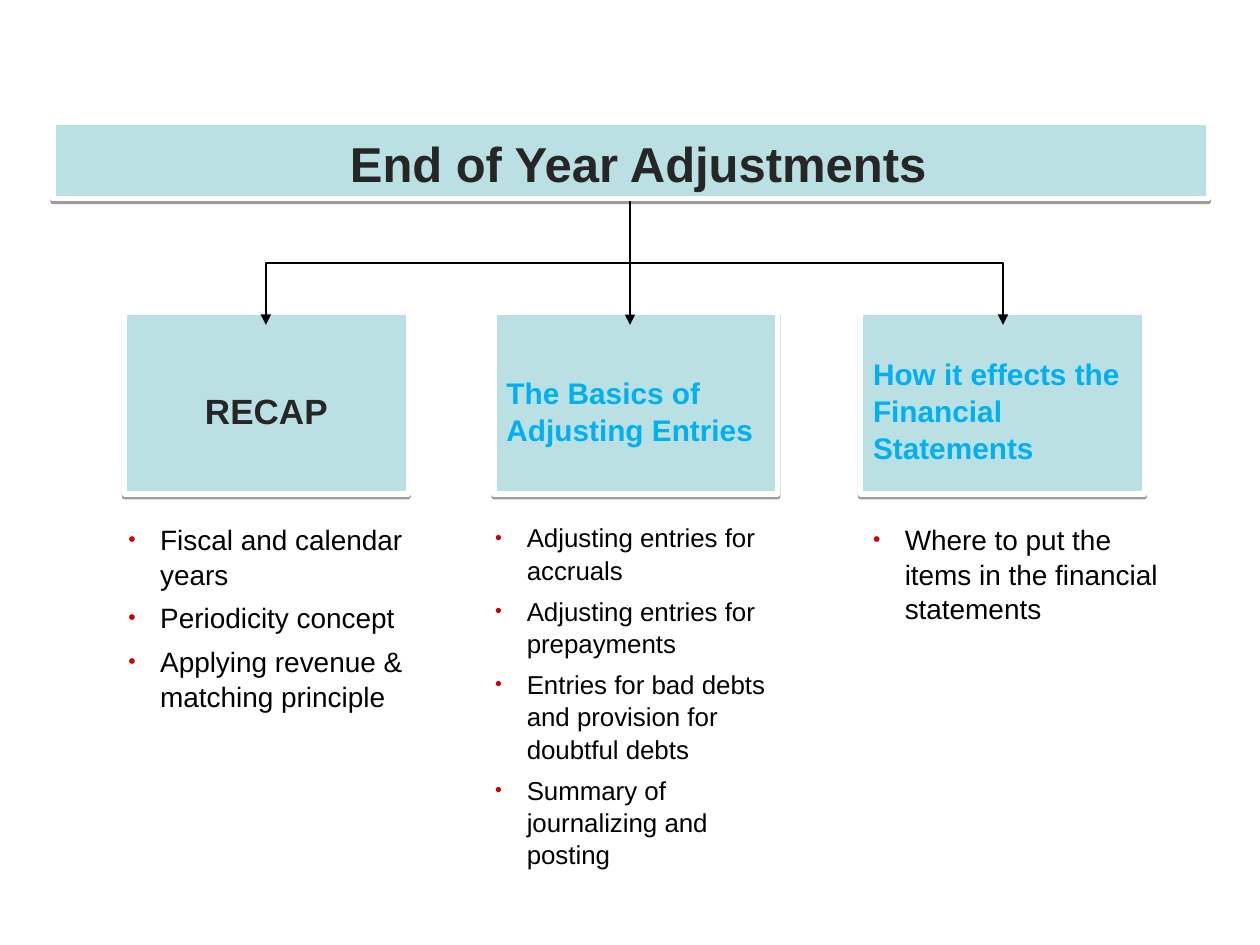
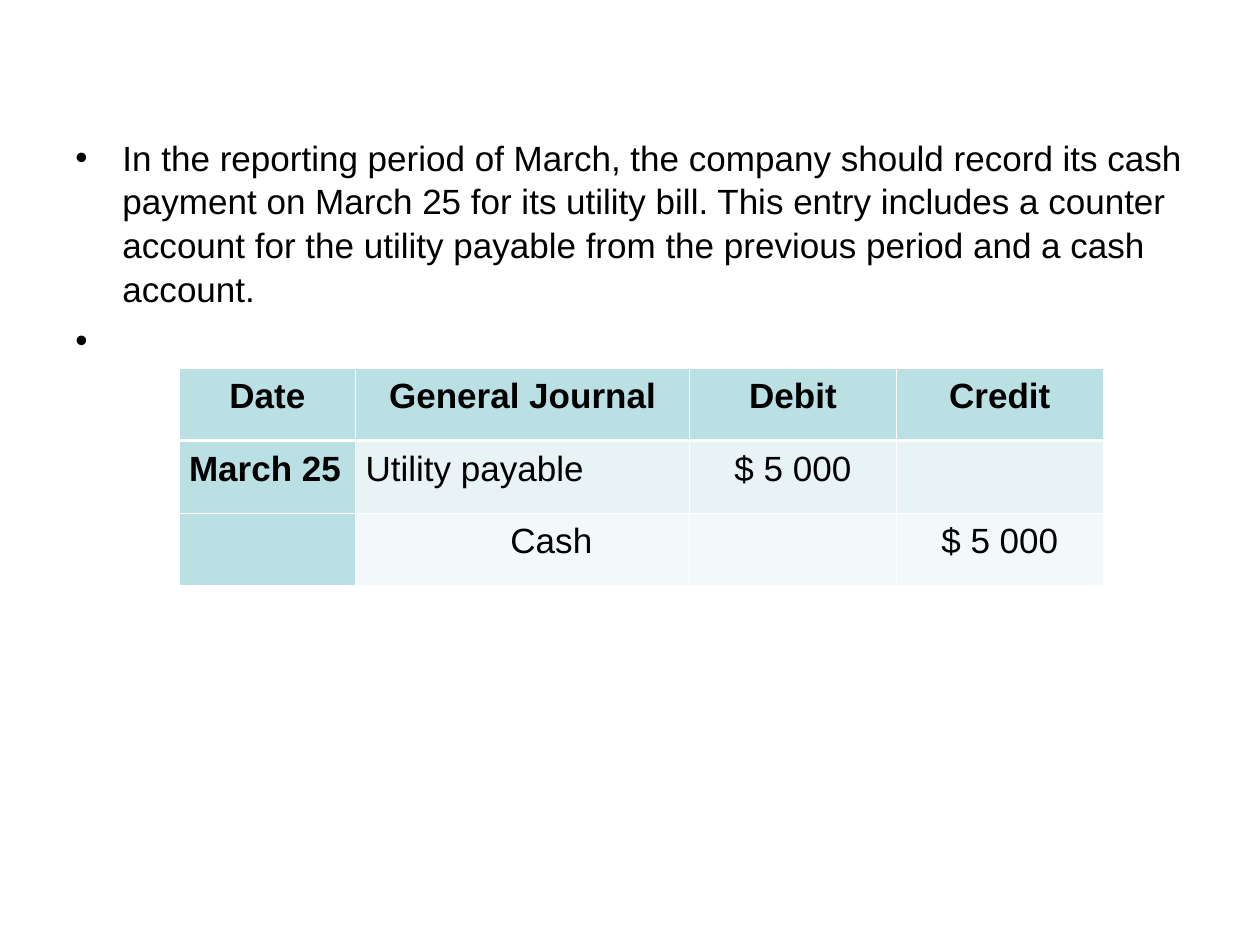
import pptx
import pptx.dml.color
import pptx.enum.shapes
import pptx.enum.text
import pptx.oxml
import pptx.oxml.ns
import pptx.util
from lxml import etree

Cm, Pt = pptx.util.Cm, pptx.util.Pt
qn = pptx.oxml.ns.qn
RGB = pptx.dml.color.RGBColor.from_string
ALIGN = pptx.enum.text.PP_ALIGN
ANCHOR = pptx.enum.text.MSO_ANCHOR
CONNECTOR = pptx.enum.shapes.MSO_CONNECTOR

COLORS = {
    "panel": "BBE0E3",
    "band_dark": "E7F3F4",
    "band_light": "F3F9FA",
    "white": "FFFFFF",
    "text": "000000",
    "heading": "262626",
    "topic": "00B0F0",
    "bullet": "CC0000",
}
FONT = "Arial"
LINE_SPACING = 1.04


def write_paragraph(paragraph, text, size, color, bold=False, align=ALIGN.LEFT, spacing=LINE_SPACING):
    paragraph.text = text
    paragraph.alignment = align
    paragraph.line_spacing = spacing
    paragraph.font.name = FONT
    paragraph.font.size = Pt(size)
    paragraph.font.bold = bold
    paragraph.font.color.rgb = RGB(COLORS[color])


def add_bullet_list(slide, place, items, size, indent, bullet_color, bullet_percent, top_inset):
    box = slide.shapes.add_textbox(*[Cm(length) for length in place])
    frame = box.text_frame
    frame.word_wrap = True
    frame.margin_top = Cm(top_inset)
    for index, item in enumerate(items):
        paragraph = frame.paragraphs[0] if index == 0 else frame.add_paragraph()
        properties = paragraph._p.get_or_add_pPr()
        properties.set("marL", str(Cm(indent)))
        properties.set("indent", str(-Cm(indent)))
        color = etree.SubElement(properties, qn("a:buClr"))
        etree.SubElement(color, qn("a:srgbClr"), val=COLORS[bullet_color])
        etree.SubElement(properties, qn("a:buSzPct"), val=str(bullet_percent * 1000))
        etree.SubElement(properties, qn("a:buFont"), typeface=FONT)
        etree.SubElement(properties, qn("a:buChar"), char="•")
        write_paragraph(paragraph, item, size, "text")
        if index:
            paragraph.space_before = Pt(5)


presentation = pptx.Presentation()
presentation.slide_width = Cm(25.4)
presentation.slide_height = Cm(19.05)
blank_layout = presentation.slide_layouts[6]

# Slide 1: topic tree
slide = presentation.slides.add_slide(blank_layout)

topic_lists = [
    ((2.34, 10.16, 6.15, 7.42), 16,
     ["Fiscal and calendar years", "Periodicity concept",
      "Applying revenue & matching principle"]),
    ((9.73, 10.16, 6.15, 7.62), 14.8,
     ["Adjusting entries for accruals", "Adjusting entries for prepayments",
      "Entries for bad debts and provision for doubtful debts",
      "Summary of journalizing and posting"]),
    ((17.35, 10.16, 6.35, 5.08), 16,
     ["Where to put the items in the financial statements"]),
]
for place, size, items in topic_lists:
    add_bullet_list(slide, place, items, size, 0.64, "bullet", 75, 0.34)

topic_top, topic_width, topic_height = 6.3, 5.72, 3.66
panels = [
    ((1.07, 2.46, 23.29, 1.55), "End of Year Adjustments", 28, "heading", ALIGN.CENTER),
    ((2.51, topic_top, topic_width, topic_height), "RECAP", 20, "heading", ALIGN.CENTER),
    ((9.96, topic_top, topic_width, topic_height),
     "The Basics of Adjusting Entries", 17, "topic", ALIGN.LEFT),
    ((17.35, topic_top, topic_width, topic_height),
     "How it effects the Financial Statements", 17, "topic", ALIGN.LEFT),
]
for place, text, size, color, align in panels:
    panel = slide.shapes.add_shape(
        pptx.enum.shapes.MSO_SHAPE.RECTANGLE, *[Cm(length) for length in place])
    panel.fill.solid()
    panel.fill.fore_color.rgb = RGB(COLORS["panel"])
    panel.line.color.rgb = RGB(COLORS["white"])
    panel.line.width = Pt(3)
    panel.shadow.inherit = False
    effects = panel._element.spPr.find(qn("a:effectLst"))
    shadow = etree.SubElement(effects, qn("a:outerShdw"), blurRad="0",
                              dist=str(Pt(1.6)), dir="5400000", rotWithShape="0")
    shadow_color = etree.SubElement(shadow, qn("a:srgbClr"), val=COLORS["text"])
    etree.SubElement(shadow_color, qn("a:alpha"), val="38000")
    frame = panel.text_frame
    frame.word_wrap = True
    is_title = place[1] < topic_top
    frame.vertical_anchor = ANCHOR.TOP if is_title else ANCHOR.MIDDLE
    frame.margin_top = Cm(0.18 if is_title else 0.4)
    if is_title:
        frame.margin_left = Cm(0.55)
    write_paragraph(frame.paragraphs[0], text, size, color, True, align)

trunk_x, arrow_bottom = 12.7, 6.55
for target_x, arrow_top in [(5.36, 4.06), (12.7, 4.7), (20.22, 4.06)]:
    drop = arrow_bottom - arrow_top
    span = abs(target_x - trunk_x)
    if span:
        # An elbow runs sideways first, so it is laid out turned and then rotated
        middle_x, middle_y = (trunk_x + target_x) / 2, (arrow_top + arrow_bottom) / 2
        arrow = slide.shapes.add_connector(
            CONNECTOR.ELBOW,
            Cm(middle_x - drop / 2), Cm(middle_y - span / 2),
            Cm(middle_x + drop / 2), Cm(middle_y + span / 2))
        transform = arrow._element.spPr.find(qn("a:xfrm"))
        if target_x < trunk_x:
            transform.set("rot", "5400000")
        else:
            transform.set("rot", "16200000")
            transform.set("flipH", "1")
    else:
        arrow = slide.shapes.add_connector(
            CONNECTOR.STRAIGHT, Cm(trunk_x), Cm(arrow_top), Cm(target_x), Cm(arrow_bottom))
    arrow.line.color.rgb = RGB(COLORS["text"])
    arrow.line.width = Pt(0.75)
    etree.SubElement(arrow.line._get_or_add_ln(), qn("a:tailEnd"), type="triangle")
    etree.SubElement(arrow._element.spPr, qn("a:effectLst"))

# Slide 2: journal entry
slide = presentation.slides.add_slide(blank_layout)
add_bullet_list(
    slide, (1.27, 2.54, 22.86, 14.48),
    ["In the reporting period of March, the company should record its cash payment "
     "on March 25 for its utility bill. This entry includes a counter account for the "
     "utility payable from the previous period and a cash account.",
     " "],
    20, 0.95, "text", 100, 0.17)

journal = [
    ["Date", "General Journal", "Debit", "Credit"],
    ["March 25", "Utility payable", "$ 5 000", ""],
    ["", "Cash", "", "$ 5 000"],
]
column_widths = [3.56, 6.73, 4.17, 4.17]
row_height = 1.46
table = slide.shapes.add_table(
    len(journal), len(column_widths), Cm(3.61), Cm(7.42),
    Cm(sum(column_widths)), Cm(row_height * len(journal))).table
for column, width in zip(table.columns, column_widths):
    column.width = Cm(width)
row_fills = ["panel", "band_dark", "band_light"]
for row_index, row in enumerate(journal):
    table.rows[row_index].height = Cm(row_height)
    for column_index, text in enumerate(row):
        cell = table.cell(row_index, column_index)
        is_label = row_index == 0 or column_index == 0
        cell.margin_left = cell.margin_right = Cm(0.2)
        if text == "Cash":
            cell.margin_left = Cm(3.12)
        heavy_side = {0: "lnB", 1: "lnT"}.get(row_index)
        for side in ("lnL", "lnR", "lnT", "lnB"):
            width = Pt(1.47 if side == heavy_side else 0.45)
            border = etree.SubElement(cell._tc.get_or_add_tcPr(), qn("a:" + side), w=str(width))
            border_fill = etree.SubElement(border, qn("a:solidFill"))
            etree.SubElement(border_fill, qn("a:srgbClr"), val=COLORS["white"])
        cell.fill.solid()
        cell.fill.fore_color.rgb = RGB(COLORS["panel" if is_label else row_fills[row_index]])
        centred = row_index == 0 or column_index > 1
        write_paragraph(cell.text_frame.paragraphs[0], text, 20, "text", is_label,
                        ALIGN.CENTER if centred else ALIGN.LEFT, 1.07)

presentation.save("out.pptx")
